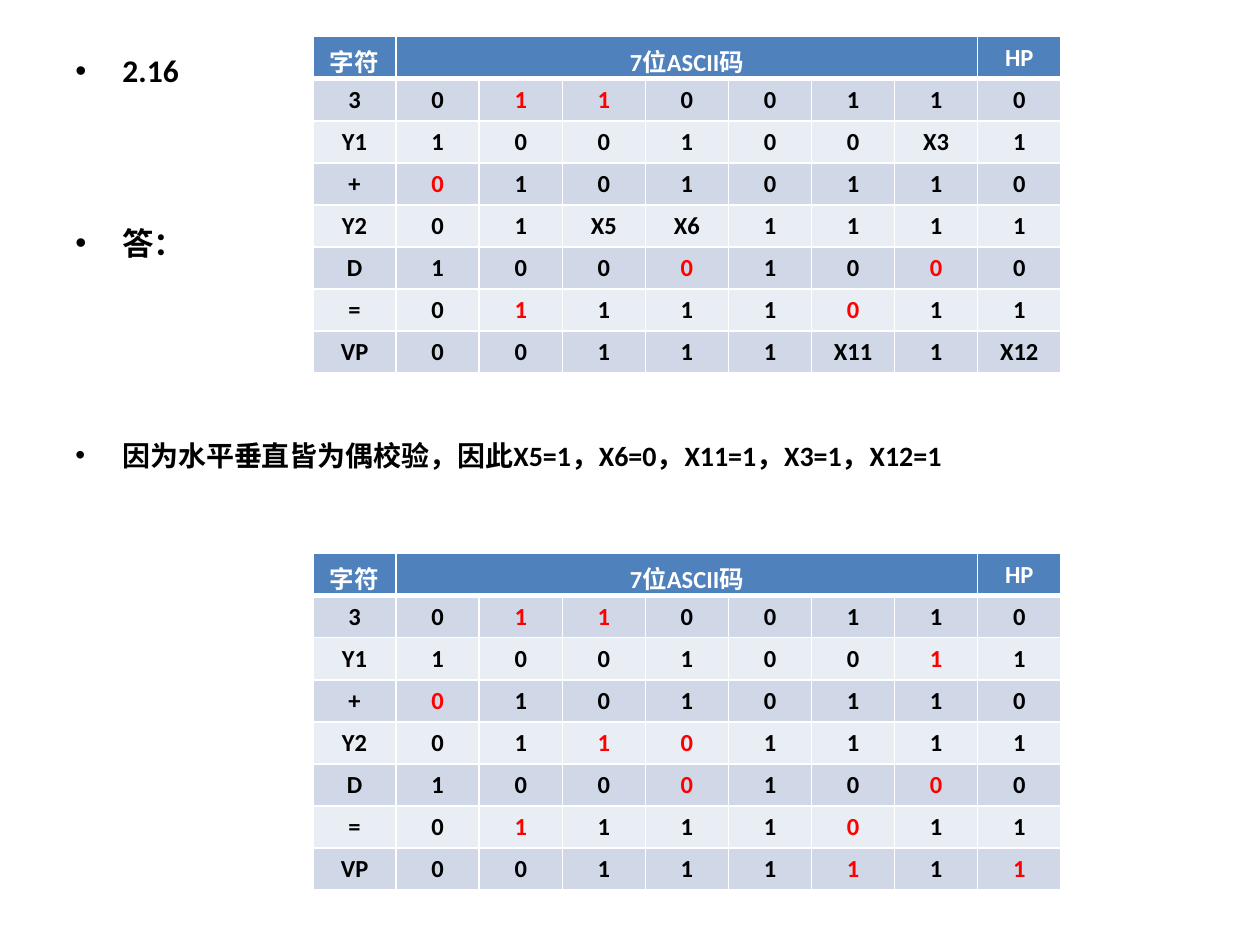
from lxml.etree import SubElement
from pptx import Presentation
from pptx.dml.color import RGBColor
from pptx.enum.text import PP_ALIGN
from pptx.oxml.ns import qn
from pptx.util import Cm, Pt

COLORS = {
    "header": "4F81BD",
    "odd_row": "D0D8E8",
    "even_row": "E9EDF4",
    "white": "FFFFFF",
    "text": "000000",
    "marked": "FF0000",
}
HEADER = ["字符", "7位ASCII码", "", "", "", "", "", "", "HP"]
# A leading * marks a value shown in red.
QUESTION = [row.split() for row in (
    "3  0  *1 *1 0  0 1   1  0",
    "Y1 1  0  0  1  0 0   X3 1",
    "+  *0 1  0  1  0 1   1  0",
    "Y2 0  1  X5 X6 1 1   1  1",
    "D  1  0  0  *0 1 0   *0 0",
    "=  0  *1 1  1  1 *0  1  1",
    "VP 0  0  1  1  1 X11 1  X12",
)]
SOLUTION = {"X5": "1", "X6": "0", "X11": "1", "X3": "1", "X12": "1"}
ANSWER = [[f"*{SOLUTION[value]}" if value in SOLUTION else value for value in row]
          for row in QUESTION]


class SlideBuilder:
    font_name = "Calibri"
    table_size = 14

    def __init__(self, slide):
        self.slide = slide

    def style_paragraph(self, paragraph, size, color):
        font = paragraph.font
        font.name = self.font_name
        font.size = Pt(size)
        font.bold = True
        font.color.rgb = RGBColor.from_string(COLORS[color])

    def add_bullets(self, left, top, width, height, items):
        """Each item is (text, size in points, space before in points)."""
        shape = self.slide.shapes.add_textbox(Cm(left), Cm(top), Cm(width), Cm(height))
        frame = shape.text_frame
        frame.word_wrap = True
        for index, (text, size, space_before) in enumerate(items):
            paragraph = frame.add_paragraph() if index else frame.paragraphs[0]
            paragraph.text = text
            properties = paragraph._p.get_or_add_pPr()
            properties.set("marL", str(Cm(0.95)))
            properties.set("indent", str(-Cm(0.95)))
            paragraph.space_before = Pt(space_before)
            SubElement(properties, qn("a:buFont"), typeface="Arial")
            SubElement(properties, qn("a:buChar"), char="•")
            self.style_paragraph(paragraph, size, "text")

    def add_borders(self, cell, top, bottom):
        """Draw white borders; top and bottom are widths in points."""
        properties = cell._tc.get_or_add_tcPr()
        widths = {"a:lnL": 1, "a:lnR": 1, "a:lnT": top, "a:lnB": bottom}
        for position, (tag, width) in enumerate(widths.items()):
            line = SubElement(properties, qn(tag), w=str(Pt(width)))
            fill = SubElement(line, qn("a:solidFill"))
            SubElement(fill, qn("a:srgbClr"), val=COLORS["white"])
            properties.insert(position, line)

    def add_code_table(self, left, top, width, height, rows):
        table = self.slide.shapes.add_table(
            len(rows), len(rows[0]), Cm(left), Cm(top), Cm(width), Cm(height)).table
        for row_index, row in enumerate(rows):
            is_header = row_index == 0
            band = "header" if is_header else "odd_row" if row_index % 2 else "even_row"
            for column_index, value in enumerate(row):
                cell = table.cell(row_index, column_index)
                cell.fill.solid()
                cell.fill.fore_color.rgb = RGBColor.from_string(COLORS[band])
                self.add_borders(cell, top=3 if row_index == 1 else 1,
                                 bottom=3 if is_header else 1)
                cell.text = value.removeprefix("*")
                paragraph = cell.text_frame.paragraphs[0]
                paragraph.alignment = PP_ALIGN.CENTER
                color = "white" if is_header else "marked" if value[0] == "*" else "text"
                self.style_paragraph(paragraph, self.table_size, color)
        table.cell(0, 1).merge(table.cell(0, 7))


def main():
    presentation = Presentation()
    presentation.slide_width = Cm(25.4)
    presentation.slide_height = Cm(19.05)
    builder = SlideBuilder(presentation.slides.add_slide(presentation.slide_layouts[6]))

    conclusion = "，".join(f"{name}={value}" for name, value in SOLUTION.items())
    builder.add_bullets(1.27, 0.91, 22.86, 12.57, [
        ("2.16", 18, 0),
        ("答：", 18, 77),
        (f"因为水平垂直皆为偶校验，因此{conclusion}", 16, 101),
    ])
    for top, rows in ((0.74, QUESTION), (11.16, ANSWER)):
        builder.add_code_table(6.31, top, 15.08, 6.78, [HEADER] + rows)

    presentation.save("out.pptx")


if __name__ == "__main__":
    main()
